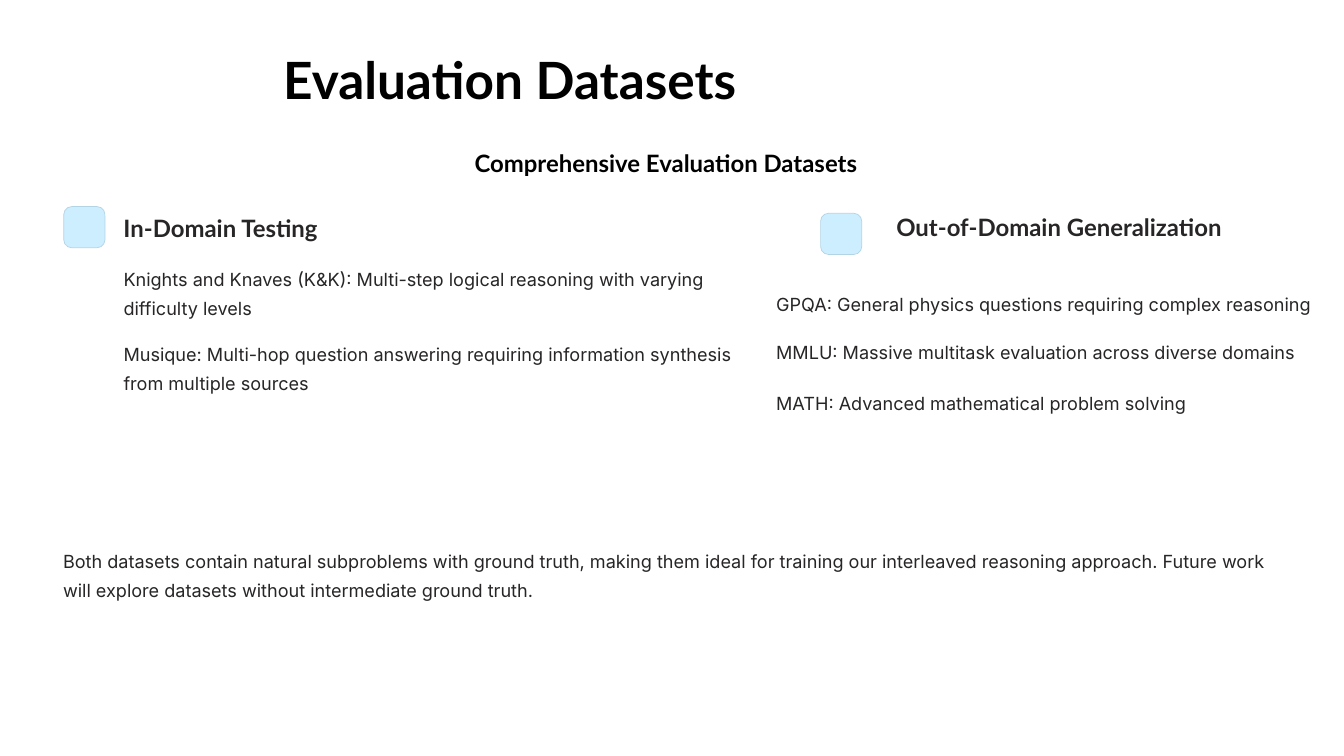
from dataclasses import dataclass

from lxml.etree import SubElement
from pptx import Presentation
from pptx.dml.color import RGBColor
from pptx.enum.shapes import MSO_SHAPE as Kind
from pptx.enum.text import MSO_ANCHOR as Anchor, MSO_AUTO_SIZE as Fit, PP_ALIGN as Align
from pptx.oxml.ns import qn
from pptx.util import Inches, Pt

HEX = {"black": "000000", "ink": "272525", "tile": "CCEEFF", "edge": "B2D4E5"}
WIDE, HIGH = Inches(16), Inches(9)


@dataclass
class Box:
    """An area in percent of the slide's width and height."""
    x: float
    y: float
    w: float
    h: float

    def rect(self) -> list[int]:
        sides = (self.x, WIDE), (self.y, HIGH), (self.w, WIDE), (self.h, HIGH)
        return [round(part * full / 100) for part, full in sides]


@dataclass
class Style:
    font: str
    size: float
    lead: float
    color: str
    bold: bool = False
    align: Align = Align.LEFT


@dataclass
class Item:
    text: str
    gap: float = 0


@dataclass
class Topic:
    name: str
    tile: Box
    head: Box
    body: Box
    items: list[Item]


TITLE = Style("Lato", 44, 51, "black", True, Align.CENTER)
SUB = Style("Lato", 20.5, 25.5, "black", True)
HEAD = Style("Lato", 20.5, 25.5, "ink", True)
BODY = Style("Inter", 15.5, 25, "ink")

TOPICS = [
    Topic("In-Domain Testing", Box(4.75, 27.33, 3.06, 5.44),
          Box(9.19, 28.11, 17.88, 4), Box(9.19, 34.56, 45.75, 17.67), [
        Item("Knights and Knaves (K&K): Multi-step logical reasoning "
             "with varying difficulty levels"),
        Item("Musique: Multi-hop question answering requiring "
             "information synthesis from multiple sources", 14)]),
    Topic("Out-of-Domain Generalization", Box(61.06, 28.22, 3.06, 5.44),
          Box(66.69, 28, 24.94, 4), Box(57.75, 37.78, 41.88, 17.11), [
        Item("GPQA: General physics questions requiring complex reasoning"),
        Item("MMLU: Massive multitask evaluation across diverse domains", 16),
        Item("MATH: Advanced mathematical problem solving", 19.5)]),
]
NOTE = ("Both datasets contain natural subproblems with ground truth, making them "
        "ideal for training our interleaved reasoning approach. Future work will "
        "explore datasets without intermediate ground truth.")


def paint(name: str) -> RGBColor:
    return RGBColor.from_string(HEX[name])


def write(shape, box: Box, style: Style, items: list[Item]) -> None:
    """Place a text shape and fill it with one plain paragraph per item."""
    shape.left, shape.top, shape.width, shape.height = box.rect()
    frame = shape.text_frame
    frame.word_wrap, frame.auto_size = True, Fit.NONE
    frame.vertical_anchor = Anchor.TOP
    frame.margin_left = frame.margin_top = frame.margin_right = frame.margin_bottom = 0
    frame.text = "\n".join(item.text for item in items)
    for par, item in zip(frame.paragraphs, items):
        par.alignment, par.line_spacing = style.align, Pt(style.lead)
        par.space_before, par.space_after = Pt(item.gap), Pt(0)
        props = par._p.get_or_add_pPr()
        props.set("marL", "0")
        props.set("indent", "0")
        SubElement(props, qn("a:buNone"))
        font = par.font
        font.name, font.size, font.bold = style.font, Pt(style.size), style.bold
        font.color.rgb = paint(style.color)


def label(slide, box: Box, style: Style, text: str) -> None:
    write(slide.shapes.add_textbox(*box.rect()), box, style, [Item(text)])


def tile(slide, box: Box) -> None:
    shape = slide.shapes.add_shape(Kind.ROUNDED_RECTANGLE, *box.rect())
    shape.adjustments[0] = 0.19
    shape.shadow.inherit = False
    shape.fill.solid()
    shape.fill.fore_color.rgb = paint("tile")
    shape.line.color.rgb = paint("edge")
    shape.line.width = Pt(0.6)


def main() -> None:
    deck = Presentation()
    deck.slide_width, deck.slide_height = WIDE, HIGH
    slide = deck.slides.add_slide(deck.slide_layouts.get_by_name("Two Content"))
    title, *bodies = slide.placeholders
    write(title, Box(4.75, 6.67, 66.38, 7.89), TITLE, [Item("Evaluation Datasets")])
    label(slide, Box(35.31, 19.56, 29.44, 4), SUB, "Comprehensive Evaluation Datasets")
    for topic, body in zip(TOPICS, bodies):
        tile(slide, topic.tile)
        label(slide, topic.head, HEAD, topic.name)
        write(body, topic.body, BODY, topic.items)
    label(slide, Box(4.69, 71.78, 90.5, 7.78), BODY, NOTE)
    deck.save("out.pptx")


if __name__ == "__main__":
    main()
